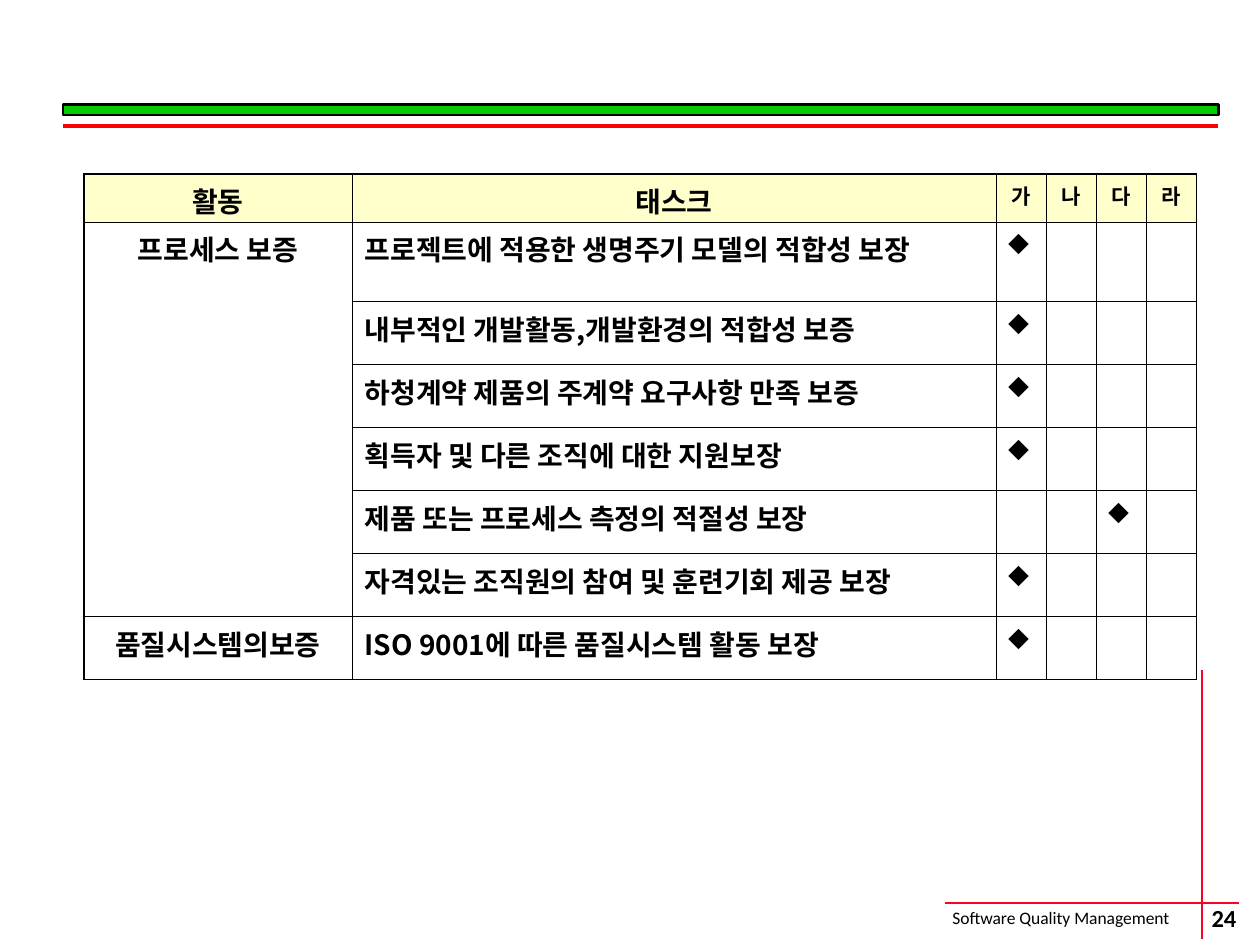
from lxml import etree
from pptx import Presentation
from pptx.dml.color import RGBColor
from pptx.enum.shapes import MSO_CONNECTOR, MSO_SHAPE
from pptx.enum.text import MSO_ANCHOR, PP_ALIGN
from pptx.oxml.ns import qn
from pptx.util import Cm, Pt

STRAIGHT = MSO_CONNECTOR.STRAIGHT
RECTANGLE = MSO_SHAPE.RECTANGLE
LEFT, CENTER = PP_ALIGN.LEFT, PP_ALIGN.CENTER
TOP, MIDDLE = MSO_ANCHOR.TOP, MSO_ANCHOR.MIDDLE
KOREAN = "Noto Sans CJK KR"


def color(value):
    return RGBColor.from_string(value)


def write(frame, text, align, ink, **format_values):
    paragraph = frame.paragraphs[0]
    paragraph.alignment = align
    run = paragraph.add_run()
    run.text = text
    for key, value in format_values.items():
        setattr(run.font, key, value)
    run.font.color.rgb = color(ink)
    east_asian = etree.Element(qn("a:ea"), typeface=KOREAN)
    run.font._element.find(qn("a:latin")).addnext(east_asian)


deck = Presentation()
deck.slide_width, deck.slide_height = Cm(25.4), Cm(19.05)
slide = deck.slides.add_slide(deck.slide_layouts[6])
shapes = slide.shapes

green_bar = shapes.add_shape(RECTANGLE, Cm(1.27), Cm(2.11), Cm(23.29), Cm(0.21))
green_bar.shadow.inherit = False
green_bar.fill.solid()
green_bar.fill.fore_color.rgb = color("00CC00")
green_bar.line.color.rgb = color("000000")
green_bar.line.width = Pt(1.5)

rules = [
    (1.27, 2.54, 24.56, 2.54, "FF0000", 2.25),
    (19.05, 18.21, 24.97, 18.21, "FC0128", 1),
    (24.23, 13.51, 24.23, 18.92, "FC0128", 1),
]
for x1, y1, x2, y2, ink, weight in rules:
    rule = shapes.add_connector(STRAIGHT, Cm(x1), Cm(y1), Cm(x2), Cm(y2))
    rule.line.color.rgb = color(ink)
    rule.line.width = Pt(weight)
    etree.SubElement(rule._element.spPr, qn("a:effectLst"))

footers = [
    ("Software Quality Management", (18.95, 18.16, 5.56, 0.69), LEFT, TOP, (0.25, 0.13), 10, False),
    ("24", (23.42, 18.14, 2.51, 0.71), CENTER, MIDDLE, (0, 0), 14, True),
]
for text, place, align, anchor, (side, end), size, bold in footers:
    footer = shapes.add_textbox(*map(Cm, place)).text_frame
    settings = {
        "word_wrap": False,
        "vertical_anchor": anchor,
        "margin_left": Cm(side),
        "margin_right": Cm(side),
        "margin_top": Cm(end),
        "margin_bottom": Cm(end),
    }
    for key, value in settings.items():
        setattr(footer, key, value)
    write(footer, text, align, "000000", name="Calibri", size=Pt(size), bold=bold)

headings = ["활동", "태스크", "가", "나", "다", "라"]
tasks = [
    ("프로세스 보증", "프로젝트에 적용한 생명주기 모델의 적합성 보장", "가"),
    ("", "내부적인 개발활동,개발환경의 적합성 보증", "가"),
    ("", "하청계약 제품의 주계약 요구사항 만족 보증", "가"),
    ("", "획득자 및 다른 조직에 대한 지원보장", "가"),
    ("", "제품 또는 프로세스 측정의 적절성 보장", "다"),
    ("", "자격있는 조직원의 참여 및 훈련기회 제공 보장", "가"),
    ("품질시스템의보증", "ISO 9001에 따른 품질시스템 활동 보장", "가"),
]
rows = [headings]
for activity, task, grade in tasks:
    rows.append([activity, task] + ["◆" if grade == name else "" for name in headings[2:]])

column_widths = [5.41, 12.98] + [1.01] * 4
row_heights = [0.97, 1.6] + [1.27] * 6
table = shapes.add_table(
    len(rows), len(headings), Cm(1.69), Cm(3.51), Cm(sum(column_widths)), Cm(sum(row_heights))
).table
table.first_row = table.horz_banding = False
for column, width in zip(table.columns, column_widths):
    column.width = Cm(width)
for row, height in zip(table.rows, row_heights):
    row.height = Cm(height)
table.cell(1, 0).merge(table.cell(6, 0))

for r, row in enumerate(rows):
    for c, text in enumerate(row):
        cell = table.cell(r, c)
        cell_properties = cell._tc.get_or_add_tcPr()
        outer_edges = {
            "a:lnL": c == 0,
            "a:lnR": c == len(headings) - 1,
            "a:lnT": r == 0,
            "a:lnB": r == len(rows) - 1,
        }
        for tag, outer in outer_edges.items():
            weight = Pt(1.08 if outer else 0.45)
            edge = etree.SubElement(cell_properties, qn(tag), w=str(weight))
            solid = etree.SubElement(edge, qn("a:solidFill"))
            etree.SubElement(solid, qn("a:srgbClr"), val="000000")
        if r == 0:
            cell.fill.solid()
            cell.fill.fore_color.rgb = color("FFFFCC")
        else:
            cell.fill.background()
        if text:
            mark = text == "◆"
            font = KOREAN if r else "Cabin" if c < 2 else "Calibri"
            write(
                cell.text_frame,
                text,
                CENTER if r == 0 or c == 0 else LEFT,
                "010000" if mark else "000000",
                name=font,
                size=Pt(16 if c < 2 else 12),
                bold=not mark,
            )

deck.save("out.pptx")
